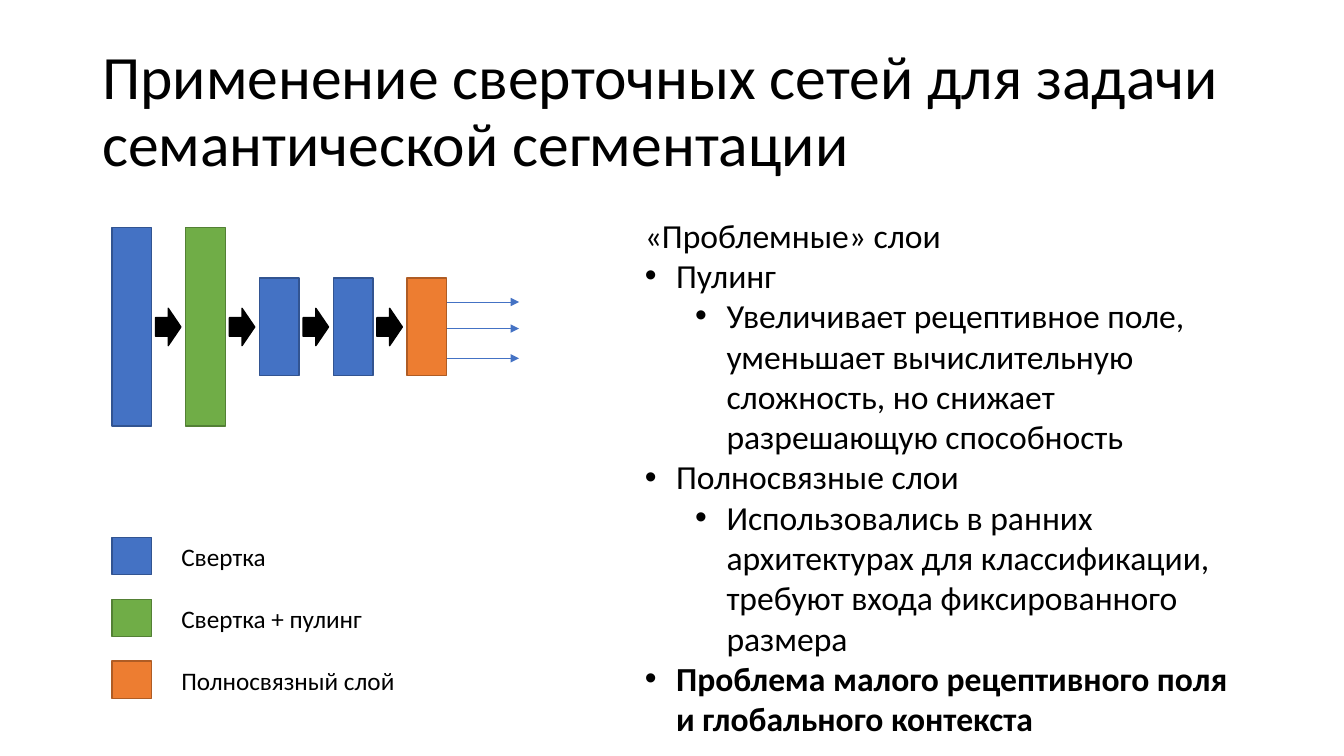
from lxml.etree import SubElement
from pptx import Presentation
from pptx.dml.color import RGBColor
from pptx.enum.shapes import MSO_CONNECTOR, MSO_SHAPE
from pptx.enum.text import MSO_ANCHOR, MSO_AUTO_SIZE
from pptx.oxml.ns import qn
from pptx.util import Cm, Pt

BLACK = RGBColor(0x00, 0x00, 0x00)
BLUE = RGBColor(0x44, 0x72, 0xC4)
GREEN = RGBColor(0x70, 0xAD, 0x47)
ORANGE = RGBColor(0xED, 0x7D, 0x31)
EDGES = {
    BLUE: RGBColor(0x32, 0x54, 0x91),
    GREEN: RGBColor(0x53, 0x80, 0x35),
    ORANGE: RGBColor(0xAF, 0x5C, 0x24),
    BLACK: BLACK,
}
BAR_WIDTH = 1

TITLE = "Применение сверточных сетей для задачи семантической сегментации"
LAYERS = [(BLUE, 5), (GREEN, 5), (BLUE, 2.46), (BLUE, 2.46), (ORANGE, 2.46)]
LEGEND = [(BLUE, "Свертка"), (GREEN, "Свертка + пулинг"), (ORANGE, "Полносвязный слой")]
NOTES = [
    ("«Проблемные» слои", None, False),
    ("Пулинг", 0, False),
    ("Увеличивает рецептивное поле, уменьшает вычислительную сложность, "
     "но снижает разрешающую способность", 1, False),
    ("Полносвязные слои", 0, False),
    ("Использовались в ранних архитектурах для классификации, "
     "требуют входа фиксированного размера", 1, False),
    ("Проблема малого рецептивного поля и глобального контекста", 0, True),
]


def add_text(frame, text, size=18, bold=False, level=None, spacing=None):
    """Write one paragraph into the frame, with a bullet when a level is given."""
    para = frame.paragraphs[0] if not frame.text else frame.add_paragraph()
    if level is not None:
        para.level = level
        properties = para._p.get_or_add_pPr()
        properties.set("marL", str(Cm(0.79 + 1.27 * level)))
        properties.set("indent", str(Cm(-0.79)))
        SubElement(properties, qn("a:buFont"), typeface="Arial")
        SubElement(properties, qn("a:buChar"), char="•")
    if spacing:
        para.line_spacing = spacing
    span = para.add_run()
    span.text = text
    span.font.name = "Calibri"
    span.font.size = Pt(size)
    span.font.bold = bold
    span.font.color.rgb = BLACK


def add_frame(page, left, top, width, height, wrap=True, auto_size=MSO_AUTO_SIZE.SHAPE_TO_FIT_TEXT):
    """Add a text box and return its text frame."""
    frame = page.shapes.add_textbox(Cm(left), Cm(top), Cm(width), Cm(height)).text_frame
    frame.word_wrap = wrap
    frame.auto_size = auto_size
    return frame


def add_block(page, left, top, width, height, colour, kind=MSO_SHAPE.RECTANGLE):
    """Add a filled shape with the edge that belongs to its colour."""
    block = page.shapes.add_shape(kind, Cm(left), Cm(top), Cm(width), Cm(height))
    block.shadow.inherit = False
    block.fill.solid()
    block.fill.fore_color.rgb = colour
    block.line.color.rgb = EDGES[colour]
    block.line.width = Pt(1)


def add_output(page, left, top, length):
    """Add a thin horizontal arrow."""
    arrow = page.shapes.add_connector(
        MSO_CONNECTOR.STRAIGHT, Cm(left), Cm(top), Cm(left + length), Cm(top))
    arrow.line.color.rgb = BLUE
    arrow.line.width = Pt(0.5)
    SubElement(arrow.line._get_or_add_ln(), qn("a:tailEnd"), type="triangle")
    SubElement(arrow._element.spPr, qn("a:effectLst"))


def draw_title(page, left, top, width, height):
    """Place the heading, centred vertically in its box."""
    frame = add_frame(page, left, top, width, height, auto_size=MSO_AUTO_SIZE.NONE)
    frame.vertical_anchor = MSO_ANCHOR.MIDDLE
    add_text(frame, TITLE, size=44, spacing=0.9)


def draw_network(page, left, top, width, height):
    """Draw the layers along a middle axis, with arrows between and outputs after."""
    pitch, arrow_width, arrow_height = 1.86, 0.64, 0.94
    axis = top + height / 2
    for index, (colour, size) in enumerate(LAYERS):
        bar_left = left + index * pitch
        add_block(page, bar_left, axis - size / 2, BAR_WIDTH, size, colour)
        if index < len(LAYERS) - 1:
            add_block(page, bar_left + 1.1, axis - arrow_height / 2,
                      arrow_width, arrow_height, BLACK, MSO_SHAPE.RIGHT_ARROW)
    start = left + (len(LAYERS) - 1) * pitch + BAR_WIDTH
    for offset in (-0.63, 0.04, 0.79):
        add_output(page, start, axis + offset, left + width - start)


def draw_legend(page, left, top, width):
    """List the layer colours with their names."""
    for index, (colour, label) in enumerate(LEGEND):
        row_top = top + index * 1.56
        add_block(page, left, row_top, BAR_WIDTH, 0.94, colour)
        frame = add_frame(page, left + 1.5, row_top - 0.02, width - 1.5, 1.02, wrap=False)
        add_text(frame, label)


def draw_notes(page, left, top, width, height):
    """Write the bulleted remarks about the layers."""
    frame = add_frame(page, left, top, width, height)
    for text, level, bold in NOTES:
        add_text(frame, text, size=24, bold=bold, level=level)


def main():
    """Build and save the slide."""
    deck = Presentation()
    deck.slide_width, deck.slide_height = Cm(33.87), Cm(19.05)
    page = deck.slides.add_slide(deck.slide_layouts[6])
    draw_title(page, 2.33, 1.01, 29.21, 3.68)
    draw_network(page, 2.82, 5.74, 10.26, 5)
    draw_legend(page, 2.82, 13.54, 7.44)
    draw_notes(page, 16, 5.28, 15.72, 13.59)
    deck.save("out.pptx")


if __name__ == "__main__":
    main()
